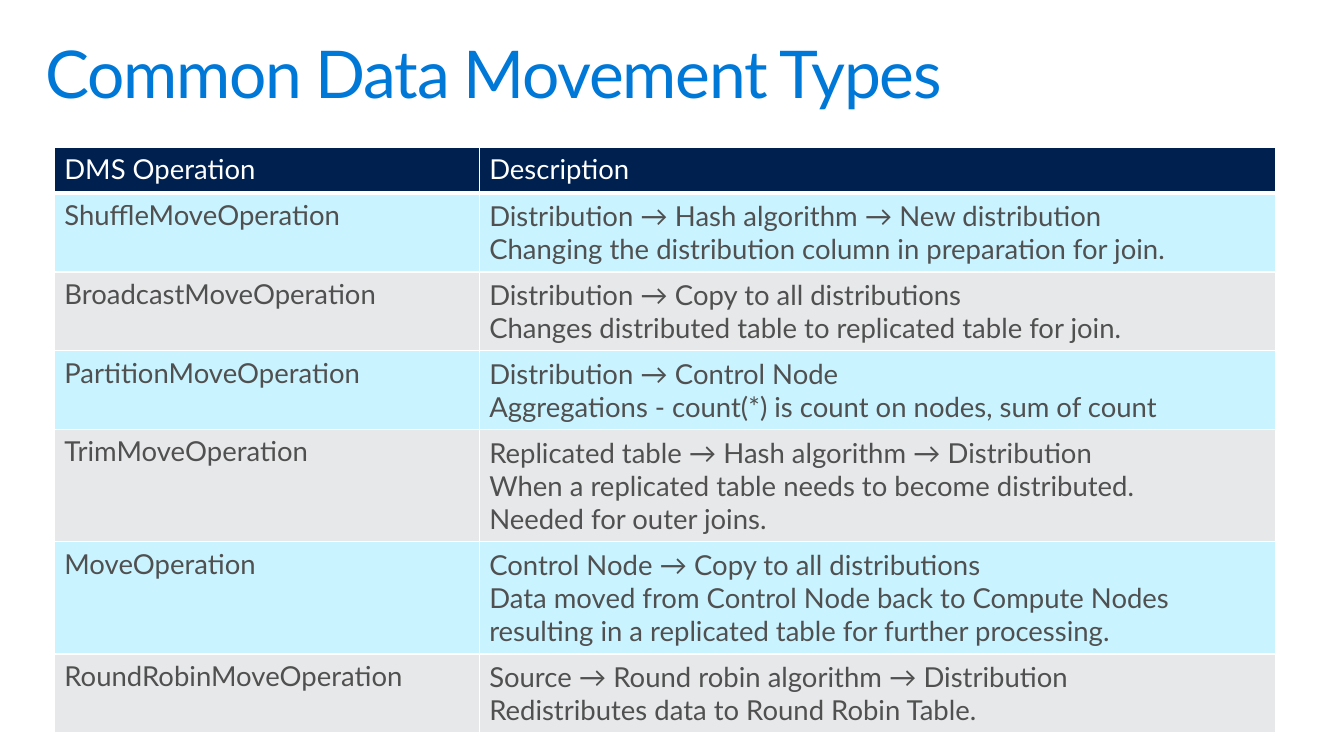
"""Build the slide that lists the common data movement types in a table."""
from pptx import Presentation
from pptx.dml.color import RGBColor as Rgb
from pptx.enum.text import MSO_ANCHOR as Anchor, PP_ALIGN as Align
from pptx.oxml import parse_xml
from pptx.oxml.ns import nsdecls
from pptx.util import Cm, Pt


def paint(part, tone):
    part.solid()
    part.fore_color.rgb = Rgb.from_string(tone)


def write(frame, text, size=20, tone="505050", anchor=Anchor.TOP, space=None, track=None):
    frame.text = text
    frame.word_wrap = True
    frame.vertical_anchor = anchor
    for para in frame.paragraphs:
        para.alignment = Align.LEFT
        para.line_spacing = space
        for run in para.runs:
            run.font.name = "Lato"
            run.font.size = Pt(size)
            run.font.bold = False
            paint(run.font.fill, tone)
            if track is not None:
                run.font._element.set("spc", str(track * 100))


moves = [
    ("DMS Operation", "Description", 1),
    ("ShuffleMoveOperation",
     "Distribution → Hash algorithm → New distribution\n"
     "Changing the distribution column in preparation for join.", 2),
    ("BroadcastMoveOperation",
     "Distribution → Copy to all distributions\n"
     "Changes distributed table to replicated table for join.", 2),
    ("PartitionMoveOperation",
     "Distribution → Control Node\n"
     "Aggregations - count(*) is count on nodes, sum of count", 2),
    ("TrimMoveOperation",
     "Replicated table → Hash algorithm → Distribution\n"
     "When a replicated table needs to become distributed.\n"
     "Needed for outer joins.", 3),
    ("MoveOperation",
     "Control Node → Copy to all distributions\n"
     "Data moved from Control Node back to Compute Nodes "
     "resulting in a replicated table for further processing.", 3),
    ("RoundRobinMoveOperation",
     "Source → Round robin algorithm → Distribution\n"
     "Redistributes data to Round Robin Table.", 2),
]

deck = Presentation()
deck.slide_width, deck.slide_height = Cm(34.54), Cm(19.43)
slide = deck.slides.add_slide(deck.slide_layouts[5])
paint(slide.background.fill, "FFFFFF")

title = slide.shapes.title
title.left, title.top, title.width, title.height = Cm(0.76), Cm(0.81), Cm(33.02), Cm(2.54)
head = title.text_frame
head.margin_left = head.margin_right = Cm(0.41)
head.margin_top = head.margin_bottom = Cm(0.25)
write(head, "Common Data Movement Types", size=48, tone="0078D7", space=0.9, track=-1)

grid = slide.shapes.add_table(len(moves), 2, Cm(1.4), Cm(3.78), Cm(31.39), Cm(15.06)).table
grid.horz_banding = False
for col, width in zip(grid.columns, (10.92, 20.47)):
    col.width = Cm(width)

for row, (name, note, lines) in enumerate(moves):
    grid.rows[row].height = Cm(0.33 + 0.85 * lines)
    first = row == 0
    fill = "002050" if first else ("E7E8E9", "C9F3FF")[row % 2]
    for col, text in enumerate((name, note)):
        cell = grid.cell(row, col)
        write(cell.text_frame, text, tone="FFFFFF" if first else "505050")
        cell.vertical_anchor = Anchor.TOP if first or col == 0 else Anchor.MIDDLE
        props = cell._tc.get_or_add_tcPr()
        for side in "LRTB":
            wide = Pt(3 if first and side == "B" else 1)
            props.append(parse_xml(
                f'<a:ln{side} {nsdecls("a")} w="{wide}"><a:solidFill>'
                f'<a:srgbClr val="FFFFFF"/></a:solidFill></a:ln{side}>'))
        paint(cell.fill, fill)

deck.save("out.pptx")
